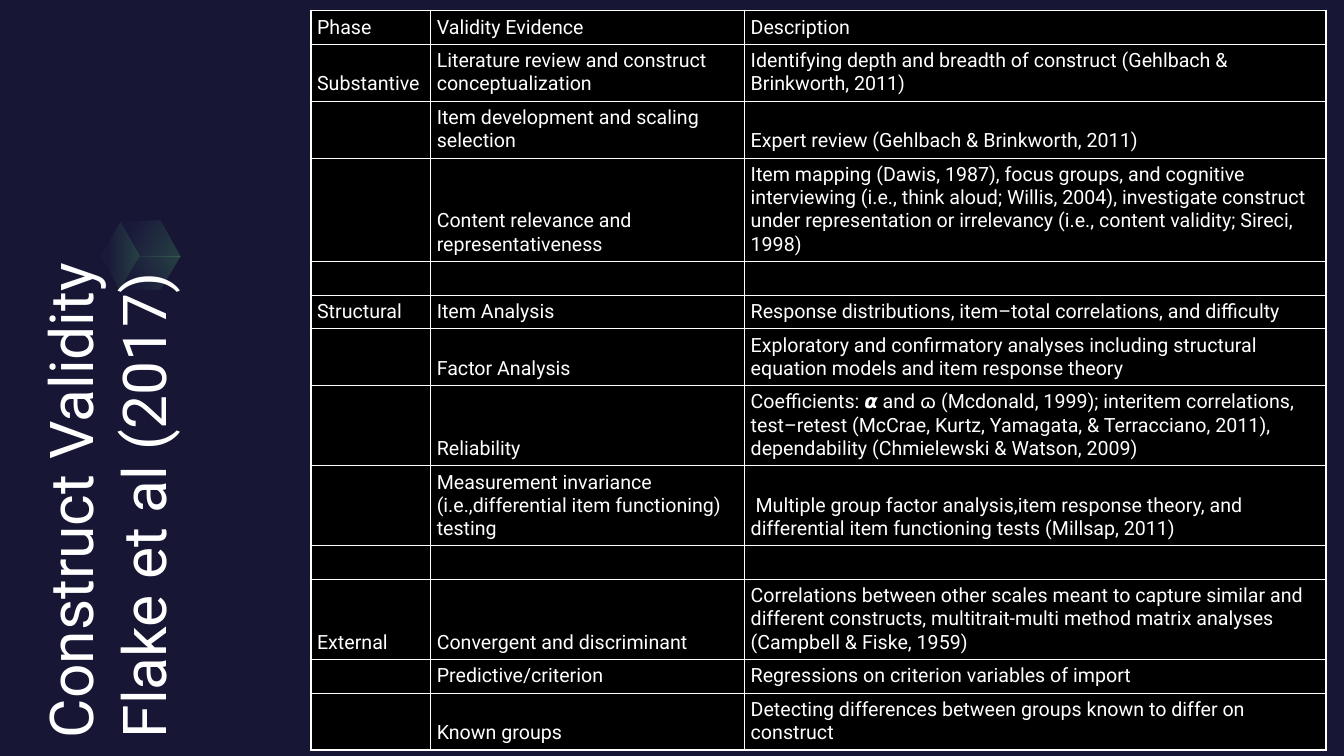
from dataclasses import dataclass

import lxml.etree
import pptx
import pptx.dml.color
import pptx.enum.shapes
import pptx.enum.text
import pptx.oxml
import pptx.oxml.ns
import pptx.util

EMU_PER_PX = 9525
SLIDE_WIDTH, SLIDE_HEIGHT = 1280, 720
FONT = "Roboto"
COLORS = {
    "navy": "171735",
    "black": "000000",
    "white": "FFFFFF",
    "cube_dark": "242453",
    "cube_green": "6BE586",
}
COLUMN_WIDTHS = [114, 299, 554]
LINE_HEIGHT, ROW_PADDING = 22, 9
THIN, THICK = 0.5, 1.5


@dataclass
class EvidenceRow:
    lines: int
    phase: str = ""
    evidence: str = ""
    description: str = ""


@dataclass
class CubeFace:
    points: list[tuple[int, int]]
    angle: int


ROWS = [
    EvidenceRow(1, "Phase", "Validity Evidence", "Description"),
    EvidenceRow(2, "Substantive", "Literature review and construct conceptualization",
                "Identifying depth and breadth of construct (Gehlbach & Brinkworth, 2011)"),
    EvidenceRow(2, "", "Item development and scaling selection",
                "Expert review (Gehlbach & Brinkworth, 2011)"),
    EvidenceRow(4, "", "Content relevance and representativeness",
                "Item mapping (Dawis, 1987), focus groups, and cognitive interviewing "
                "(i.e., think aloud; Willis, 2004), investigate construct under "
                "representation or irrelevancy (i.e., content validity; Sireci, 1998)"),
    EvidenceRow(1),
    EvidenceRow(1, "Structural", "Item Analysis",
                "Response distributions, item–total correlations, and difficulty"),
    EvidenceRow(2, "", "Factor Analysis",
                "Exploratory and confirmatory analyses including structural equation "
                "models and item response theory"),
    EvidenceRow(3, "", "Reliability",
                "Coefficients: 𝞪 and ɷ (Mcdonald, 1999); interitem correlations, "
                "test–retest (McCrae, Kurtz, Yamagata, & Terracciano, 2011), "
                "dependability (Chmielewski & Watson, 2009)"),
    EvidenceRow(3, "", "Measurement invariance (i.e.,differential item functioning) testing",
                " Multiple group factor analysis,item response theory, and differential "
                "item functioning tests (Millsap, 2011)"),
    EvidenceRow(1),
    EvidenceRow(3, "External", "Convergent and discriminant",
                "Correlations between other scales meant to capture similar and different "
                "constructs, multitrait-multi method matrix analyses (Campbell & Fiske, 1959)"),
    EvidenceRow(1, "", "Predictive/criterion", "Regressions on criterion variables of import"),
    EvidenceRow(2, "", "Known groups",
                "Detecting differences between groups known to differ on construct"),
]

LEFT, TOP_LEFT, TOP_RIGHT = (96, 244), (115, 211), (153, 210)
RIGHT, BOTTOM_RIGHT, BOTTOM_LEFT = (172, 244), (153, 276), (114, 276)
CENTER = (133, 244)
CUBE_FACES = [
    CubeFace([TOP_RIGHT, TOP_LEFT, CENTER, RIGHT], 330),
    CubeFace([BOTTOM_LEFT, LEFT, TOP_LEFT, CENTER], 0),
    CubeFace([RIGHT, BOTTOM_RIGHT, BOTTOM_LEFT, CENTER], 30),
]


def px(value: int) -> pptx.util.Emu:
    return pptx.util.Emu(value * EMU_PER_PX)


def rgb(name: str) -> pptx.dml.color.RGBColor:
    return pptx.dml.color.RGBColor.from_string(COLORS[name])


def fill_solid(fill, color: str) -> None:
    fill.solid()
    fill.fore_color.rgb = rgb(color)


def format_paragraph(paragraph, size: float) -> None:
    paragraph.alignment = pptx.enum.text.PP_ALIGN.LEFT
    paragraph.font.size = pptx.util.Pt(size)
    paragraph.font.name = FONT
    paragraph.font.color.rgb = rgb("white")


def add_backdrop(slide) -> None:
    fill_solid(slide.background.fill, "navy")
    backdrop = slide.shapes.add_shape(pptx.enum.shapes.MSO_SHAPE.RECTANGLE,
                                      0, 0, px(SLIDE_WIDTH), px(SLIDE_HEIGHT))
    backdrop.shadow.inherit = False
    fill_solid(backdrop.fill, "navy")
    backdrop.line.fill.background()


def add_cube_face(slide, face: CubeFace) -> None:
    start, *others = face.points
    builder = slide.shapes.build_freeform(*start, scale=EMU_PER_PX)
    builder.add_line_segments(others, close=True)
    shape = builder.convert_to_shape()
    shape.shadow.inherit = False
    shape.line.fill.background()
    shape.fill.gradient()
    shape.fill.gradient_angle = face.angle
    stops = zip(shape.fill.gradient_stops, (0.2, 1), ("cube_dark", "cube_green"))
    for stop, position, color in stops:
        stop.position = position
        stop.color.rgb = rgb(color)
    for color_element in shape.element.iter(pptx.oxml.ns.qn("a:srgbClr")):
        alpha = lxml.etree.SubElement(color_element, pptx.oxml.ns.qn("a:alpha"))
        alpha.set("val", "20000")


def add_cell_borders(cell, top: float, bottom: float) -> None:
    """Draw white borders: thick sides, with the given top and bottom widths in points."""
    properties = cell._tc.get_or_add_tcPr()
    for side, width in (("L", THICK), ("R", THICK), ("T", top), ("B", bottom)):
        properties.append(pptx.oxml.parse_xml(
            f'<a:ln{side} {pptx.oxml.ns.nsdecls("a")} w="{pptx.util.Pt(width)}">'
            f'<a:solidFill><a:srgbClr val="{COLORS["white"]}"/></a:solidFill></a:ln{side}>'))


def fill_cell(cell, text: str, top: float, bottom: float) -> None:
    add_cell_borders(cell, top, bottom)
    fill_solid(cell.fill, "black")
    cell.margin_left, cell.margin_right = px(6), 0
    cell.margin_top = cell.margin_bottom = px(5)
    cell.vertical_anchor = pptx.enum.text.MSO_ANCHOR.BOTTOM
    cell.text = text
    format_paragraph(cell.text_frame.paragraphs[0], 14)


def add_evidence_table(slide) -> None:
    heights = [ROW_PADDING + LINE_HEIGHT * row.lines for row in ROWS]
    table = slide.shapes.add_table(len(ROWS), len(COLUMN_WIDTHS), px(296), px(10),
                                   px(sum(COLUMN_WIDTHS)), px(sum(heights))).table
    for column, width in zip(table.columns, COLUMN_WIDTHS):
        column.width = px(width)
    for index, (row, height) in enumerate(zip(ROWS, heights)):
        table.rows[index].height = px(height)
        top = THICK if index == 0 else THIN
        bottom = THICK if index == len(ROWS) - 1 else THIN
        texts = (row.phase, row.evidence, row.description)
        for cell, text in zip(table.rows[index].cells, texts):
            fill_cell(cell, text, top, bottom)


def place_title(slide) -> None:
    """Turn the title to read upwards and bring it to the front."""
    title = slide.shapes.title
    title.left, title.top, title.width, title.height = px(-481), px(51), px(1164), px(140)
    title.rotation = 270
    frame = title.text_frame
    frame.text = "Construct Validity\vFlake et al (2017)"
    frame.margin_left = frame.margin_right = frame.margin_top = frame.margin_bottom = 0
    frame.word_wrap = True
    frame.auto_size = pptx.enum.text.MSO_AUTO_SIZE.NONE
    frame.vertical_anchor = pptx.enum.text.MSO_ANCHOR.MIDDLE
    format_paragraph(frame.paragraphs[0], 43.2)
    title.element.getparent().append(title.element)


def main() -> None:
    presentation = pptx.Presentation()
    presentation.slide_width, presentation.slide_height = px(SLIDE_WIDTH), px(SLIDE_HEIGHT)
    slide = presentation.slides.add_slide(presentation.slide_layouts[5])
    add_backdrop(slide)
    for face in CUBE_FACES:
        add_cube_face(slide, face)
    add_evidence_table(slide)
    place_title(slide)
    presentation.save("out.pptx")


if __name__ == "__main__":
    main()
